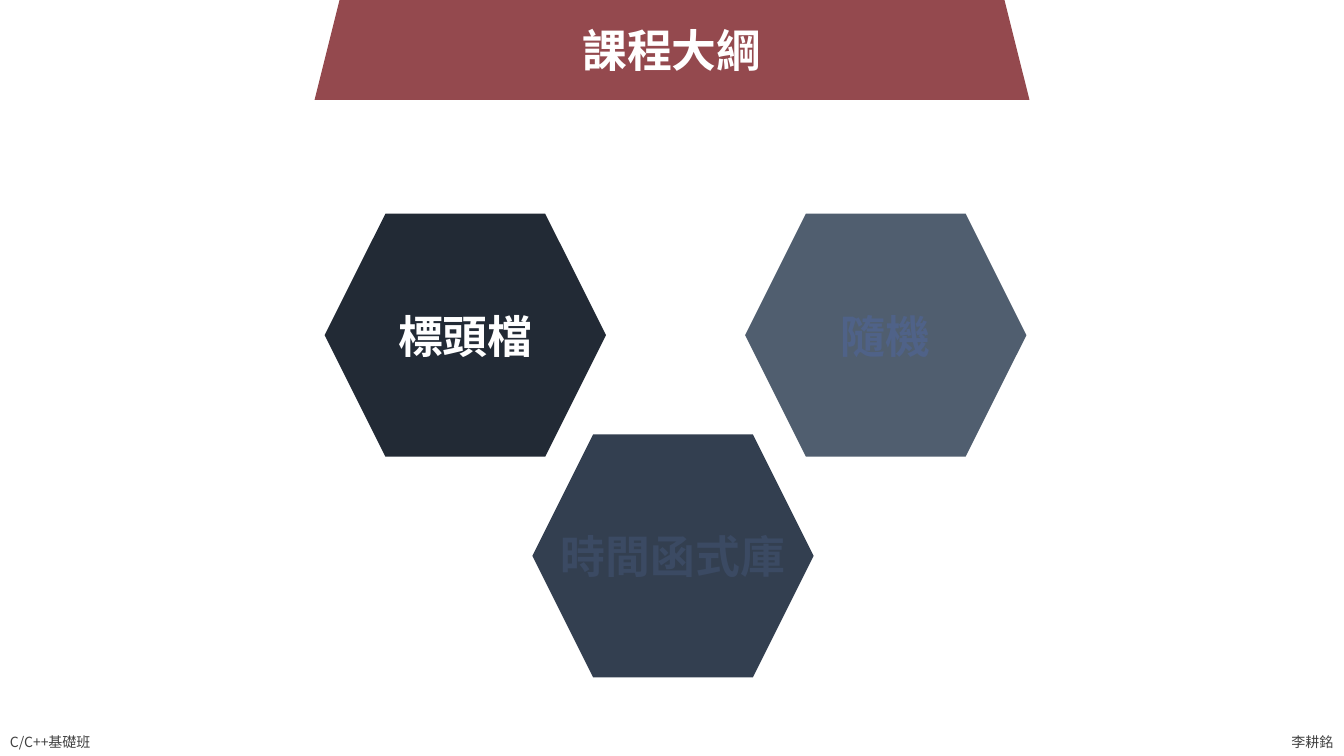
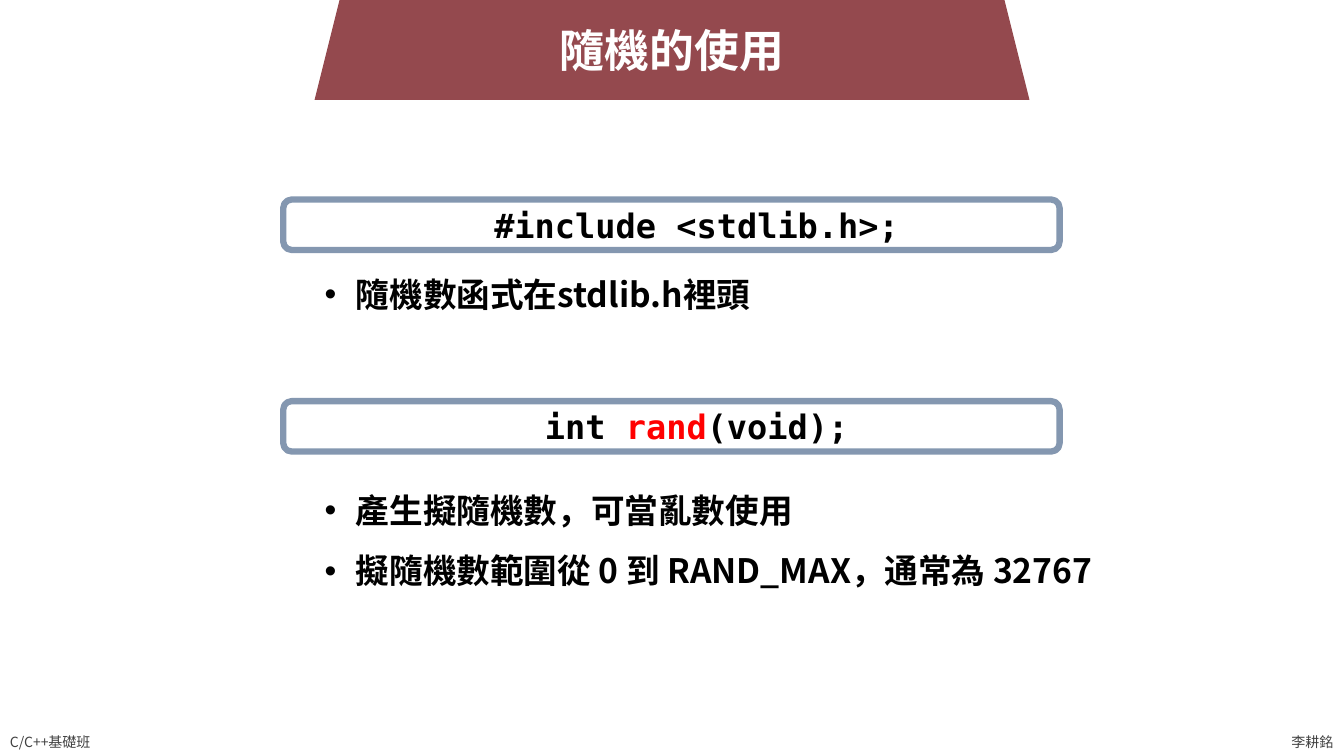
from lxml.etree import SubElement
from pptx import Presentation
from pptx.dml.color import RGBColor
from pptx.enum.shapes import MSO_SHAPE as Shape
from pptx.enum.text import MSO_ANCHOR as Anchor, MSO_AUTO_SIZE as AutoSize, PP_ALIGN as Align
from pptx.oxml.ns import qn
from pptx.util import Inches, Pt

WIDTH, HEIGHT = 13.33, 7.5
SANS, MONO = "Noto Sans CJK TC", "DejaVu Sans Mono"
WHITE, BLACK, RED, GREY = "FFFFFF", "000000", "FF0000", "404040"
BAND, FRAME = "94494E", "8497B0"

FOOTERS = [("C/C++基礎班", 0, 1.07), ("李耕銘", WIDTH - 0.62, 0.62)]

OUTLINE_TITLE = "課程大綱"
HEXAGON_SIZE = (2.79, 2.41)
# label, left, top, fill, text colour
TOPICS = [
    ("標頭檔", 3.22, 2.12, "222A35", WHITE),
    ("隨機", 7.39, 2.12, "505E6F", "4F6288"),
    ("時間函式庫", 5.28, 4.31, "333F50", "3B4A63"),
]

RANDOM_TITLE = "隨機的使用"
CODE_TOP, CODE_STEP = 1.98, 2
CODE_LINES = [
    [("#include <stdlib.h>;", BLACK)],
    [("int ", BLACK), ("rand", RED), ("(void);", BLACK)],
]
# place, line spacing, items
BULLETS = [
    ((3.12, 2.67, 5.19, 0.5), 1, ["隨機數函式在stdlib.h裡頭"]),
    ((3.12, 4.61, 8.1, 1.9), 1.5,
     ["產生擬隨機數，可當亂數使用", "擬隨機數範圍從 0 到 RAND_MAX，通常為 32767"]),
]


def color(value):
    """Turn a hex string into a colour."""
    return RGBColor.from_string(value)


def style(span, size, value, bold=True, face=SANS):
    """Format one run, its East Asian font included."""
    font = span.font
    font.size, font.bold, font.name = Pt(size), bold, face
    font.color.rgb = color(value)
    SubElement(span._r.get_or_add_rPr(), qn("a:ea"), typeface=face)


def indent(para, left, first=0):
    """Set the left margin and first line offset of a paragraph."""
    properties = para._p.get_or_add_pPr()
    properties.set("marL", str(Inches(left)))
    properties.set("indent", str(Inches(first)))


def place(shape, left, top, width, height):
    """Move and size a shape in inches."""
    shape.left, shape.top = Inches(left), Inches(top)
    shape.width, shape.height = Inches(width), Inches(height)


def add_block(page, kind, area, fill, line=None):
    """Add a flat preset shape with an optional outline."""
    block = page.shapes.add_shape(kind, *map(Inches, area))
    block.shadow.inherit = False
    block.fill.solid()
    block.fill.fore_color.rgb = color(fill)
    if line:
        block.line.color.rgb, block.line.width = color(line), Pt(4.5)
    else:
        block.line.fill.background()
    block.text_frame.vertical_anchor = Anchor.MIDDLE
    return block


def furnish_master(deck, page):
    """Draw the title band and footers and move them to the master."""
    parts = [add_block(page, Shape.TRAPEZOID, (3.12, -0.23, 7.09, 1.22), BAND)]
    for text, left, width in FOOTERS:
        box = page.shapes.add_textbox(*map(Inches, (left, HEIGHT - 0.27, width, 0.27)))
        box.text_frame.text = text
        box.text_frame.word_wrap = False
        style(box.text_frame.paragraphs[0].runs[0], 10, GREY, bold=False)
        parts.append(box)
    for part in parts:
        deck.slide_master.shapes.element.append(part.element)


def set_title(page, text):
    """Fill the title and centre it on the band."""
    title, width = page.shapes.title, 0.2 + 0.45 * len(text)
    place(title, (WIDTH - width) / 2, 0.17, width, 0.64)
    frame = title.text_frame
    frame.text = text
    frame.word_wrap, frame.auto_size = False, AutoSize.NONE
    frame.vertical_anchor = Anchor.MIDDLE
    frame.paragraphs[0].alignment = Align.CENTER
    style(frame.paragraphs[0].runs[0], 32, WHITE)


def add_topic(page, label, left, top, fill, ink):
    """Add a hexagon with its centred label."""
    hexagon = add_block(page, Shape.HEXAGON, (left, top, *HEXAGON_SIZE), fill)
    frame = hexagon.text_frame
    frame.text, frame.word_wrap = label, False
    frame.paragraphs[0].alignment = Align.CENTER
    style(frame.paragraphs[0].runs[0], 32, ink)


def add_code(page, top, spans):
    """Add a framed line of code."""
    box = add_block(page, Shape.ROUNDED_RECTANGLE, (2.81, top, 7.7, 0.5), WHITE, FRAME)
    para = box.text_frame.paragraphs[0]
    para.alignment, para.level = Align.CENTER, 1
    indent(para, 0.5)
    for text, ink in spans:
        span = para.add_run()
        span.text = text
        style(span, 24, ink, face=MONO)


def fill_list(body, area, spacing, items):
    """Fill a body placeholder with bulleted items."""
    place(body, *area)
    frame = body.text_frame
    frame.text = "\n".join(items)
    frame.auto_size, frame.vertical_anchor = AutoSize.NONE, Anchor.TOP
    for para in frame.paragraphs:
        para.line_spacing, para.space_before = float(spacing), Pt(0)
        indent(para, 0.31, -0.31)
        SubElement(para._p.get_or_add_pPr(), qn("a:buChar"), char="•")
        style(para.runs[0], 24, BLACK)


deck = Presentation()
deck.slide_width, deck.slide_height = Inches(WIDTH), Inches(HEIGHT)

outline = deck.slides.add_slide(deck.slide_layouts.get_by_name("Title Only"))
furnish_master(deck, outline)
set_title(outline, OUTLINE_TITLE)
for topic in TOPICS:
    add_topic(outline, *topic)

usage = deck.slides.add_slide(deck.slide_layouts.get_by_name("Two Content"))
set_title(usage, RANDOM_TITLE)
for row, spans in enumerate(CODE_LINES):
    add_code(usage, CODE_TOP + row * CODE_STEP, spans)
for slot, bullets in enumerate(BULLETS, start=1):
    fill_list(usage.placeholders[slot], *bullets)

deck.save("out.pptx")
